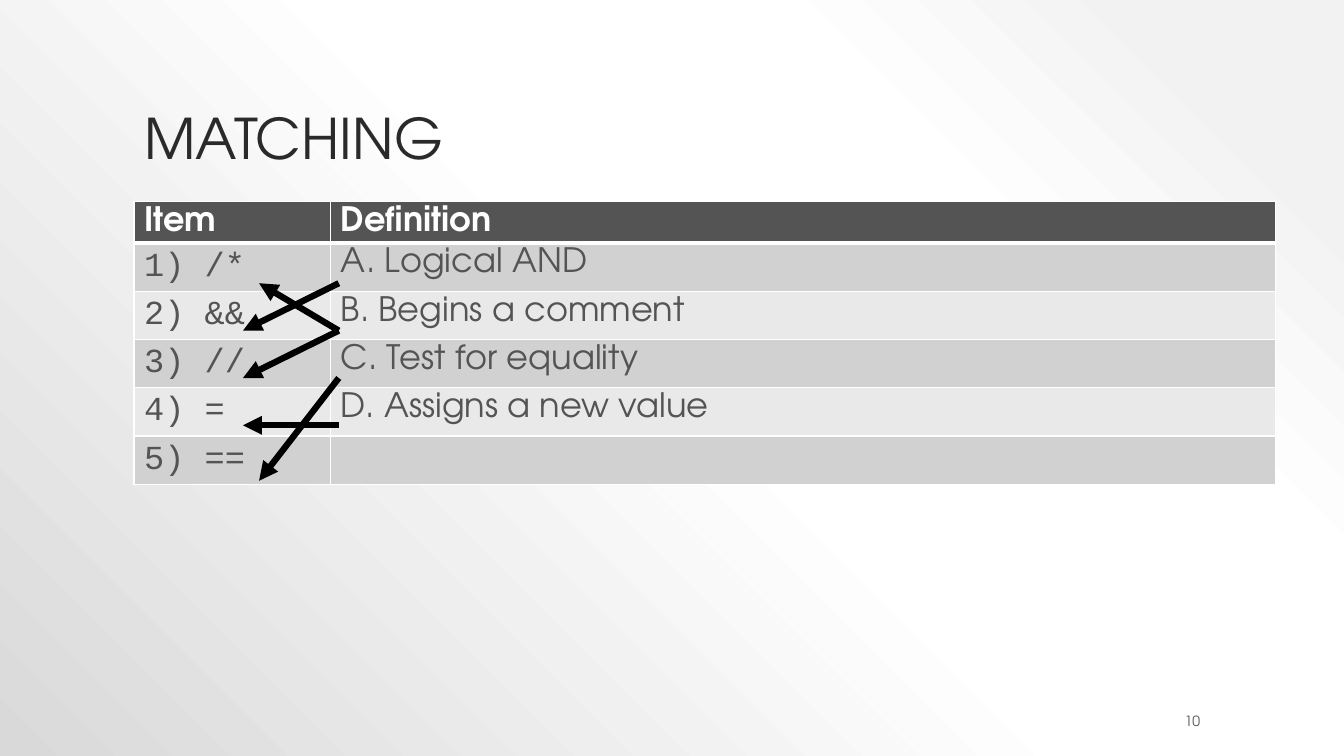
import pptx
import pptx.util
import pptx.dml.color
import pptx.enum.shapes
import pptx.enum.text
import pptx.oxml
import pptx.oxml.ns
from pptx.util import Inches

COLORS = {
    "title": "2A2A2A",
    "body": "545454",
    "header": "545454",
    "odd": "D1D1D1",
    "even": "E9E9E9",
    "white": "FFFFFF",
    "arrow": "000000",
    "glow": "F2F2F2",
    "edge": "D9D9D9",
}
SANS = "TeX Gyre Adventor"
CODE = "Courier New"
A_NS = pptx.oxml.ns.nsdecls("a")

MATCHING_ROWS = [
    ("Item", "Definition"),
    ("1) /*", "A. Logical AND"),
    ("2) &&", "B. Begins a comment"),
    ("3) //", "C. Test for equality"),
    ("4) =", "D. Assigns a new value"),
    ("5) ==", ""),
]
COLUMN_WIDTHS = (1.95, 9.37)
ROW_HEIGHT = 0.41

ARROW_START = 2.03
ARROW_TOP = 0.81
ARROW_PITCH = 0.47
NEAR_TIP, FAR_TIP = 1.24, 1.08
ANSWERS = [
    (0, 1, FAR_TIP, 0),
    (3, 3, FAR_TIP, 0),
    (1, 0, NEAR_TIP, 0),
    (1, 2, FAR_TIP, 0),
    (2, 4, NEAR_TIP, 0.08),
]


def rgb(name):
    return pptx.dml.color.RGBColor.from_string(COLORS[name])


def style(paragraph, size, color, font=SANS, bold=False):
    for run in paragraph.runs:
        run.font.size = pptx.util.Pt(size)
        run.font.name = font
        run.font.bold = bold
        run.font.color.rgb = rgb(color)


def paint_background(slide):
    fill = slide.background.fill
    fill.gradient()
    stops = [(10, "glow"), (28, "white"), (48, "white"), (100, "edge")]
    stop_xml = "".join(
        f'<a:gs pos="{position * 1000}"><a:srgbClr val="{COLORS[color]}"/></a:gs>'
        for position, color in stops
    )
    gradient = pptx.oxml.parse_xml(
        f'<a:gradFill {A_NS} rotWithShape="1"><a:gsLst>{stop_xml}</a:gsLst>'
        '<a:path path="circle"><a:fillToRect l="100000" b="100000"/></a:path>'
        "</a:gradFill>"
    )
    current = slide.element.find(".//" + pptx.oxml.ns.qn("a:gradFill"))
    current.getparent().replace(current, gradient)


def add_title(slide, left, top, width, height):
    title = slide.shapes.title
    title.left, title.top = Inches(left), Inches(top)
    title.width, title.height = Inches(width), Inches(height)
    frame = title.text_frame
    frame.text = "MATCHING"
    frame.word_wrap = True
    frame.vertical_anchor = pptx.enum.text.MSO_ANCHOR.BOTTOM
    paragraph = frame.paragraphs[0]
    paragraph.alignment = pptx.enum.text.PP_ALIGN.LEFT
    paragraph.line_spacing = 0.9
    style(paragraph, 40, "title")


def add_borders(cell, bottom_width):
    properties = cell._tc.get_or_add_tcPr()
    widths = {"lnL": 1, "lnR": 1, "lnT": 1, "lnB": bottom_width}
    for index, (side, width) in enumerate(widths.items()):
        border = pptx.oxml.parse_xml(
            f'<a:{side} {A_NS} w="{width * 12700}"><a:solidFill>'
            f'<a:srgbClr val="{COLORS["white"]}"/></a:solidFill></a:{side}>'
        )
        properties.insert(index, border)


def add_matching_table(slide, left, top):
    matching = slide.shapes.add_table(
        len(MATCHING_ROWS), len(COLUMN_WIDTHS), Inches(left), Inches(top),
        Inches(sum(COLUMN_WIDTHS)), Inches(ROW_HEIGHT * len(MATCHING_ROWS)),
    ).table
    for column, width in zip(matching.columns, COLUMN_WIDTHS):
        column.width = Inches(width)
    for row, entries in enumerate(MATCHING_ROWS):
        is_header = row == 0
        band = "header" if is_header else ("odd" if row % 2 else "even")
        for column, entry in enumerate(entries):
            cell = matching.cell(row, column)
            cell.text_frame.text = entry
            font = CODE if column == 0 and not is_header else SANS
            color = "white" if is_header else "body"
            style(cell.text_frame.paragraphs[0], 24, color, font, is_header)
            cell.fill.solid()
            cell.fill.fore_color.rgb = rgb(band)
            add_borders(cell, 3 if is_header else 1)


def add_answer_arrows(slide, left, top):
    first = top + ARROW_TOP
    for definition, item, tip, drop in ANSWERS:
        arrow = slide.shapes.add_connector(
            pptx.enum.shapes.MSO_CONNECTOR.STRAIGHT,
            Inches(left + ARROW_START), Inches(first + definition * ARROW_PITCH),
            Inches(left + tip), Inches(first + item * ARROW_PITCH + drop),
        )
        arrow.line.color.rgb = rgb("arrow")
        arrow.line.width = pptx.util.Pt(4.5)
        line = arrow.line._get_or_add_ln()
        line.append(pptx.oxml.parse_xml(f'<a:tailEnd {A_NS} type="triangle"/>'))
        line.addnext(pptx.oxml.parse_xml(f"<a:effectLst {A_NS}/>"))


def add_page_number(slide, left, top, width, height):
    page_number = slide.shapes.add_textbox(
        Inches(left), Inches(top), Inches(width), Inches(height)
    )
    frame = page_number.text_frame
    frame.text = "10"
    frame.word_wrap = True
    frame.vertical_anchor = pptx.enum.text.MSO_ANCHOR.MIDDLE
    frame.paragraphs[0].alignment = pptx.enum.text.PP_ALIGN.RIGHT
    style(frame.paragraphs[0], 10, "body")


def main():
    deck = pptx.Presentation()
    deck.slide_width, deck.slide_height = Inches(13.33), Inches(7.5)
    slide = deck.slides.add_slide(deck.slide_layouts.get_by_name("Title Only"))
    paint_background(slide)
    add_title(slide, 1.33, 0.3, 10.67, 1.45)
    add_matching_table(slide, 1.33, 2)
    add_page_number(slide, 10.75, 7.05, 1.25, 0.2)
    add_answer_arrows(slide, 1.33, 2)
    deck.save("out.pptx")


if __name__ == "__main__":
    main()
